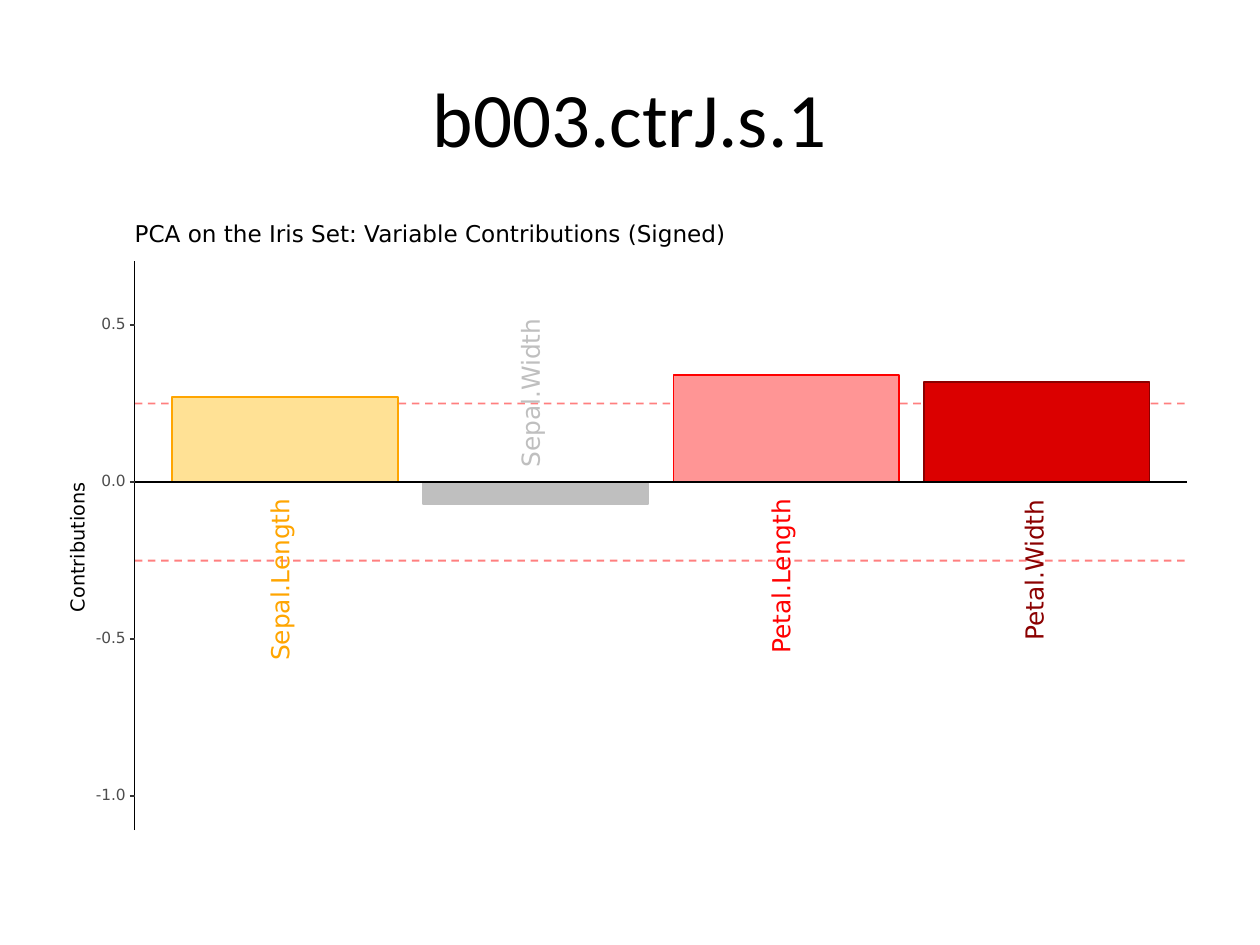
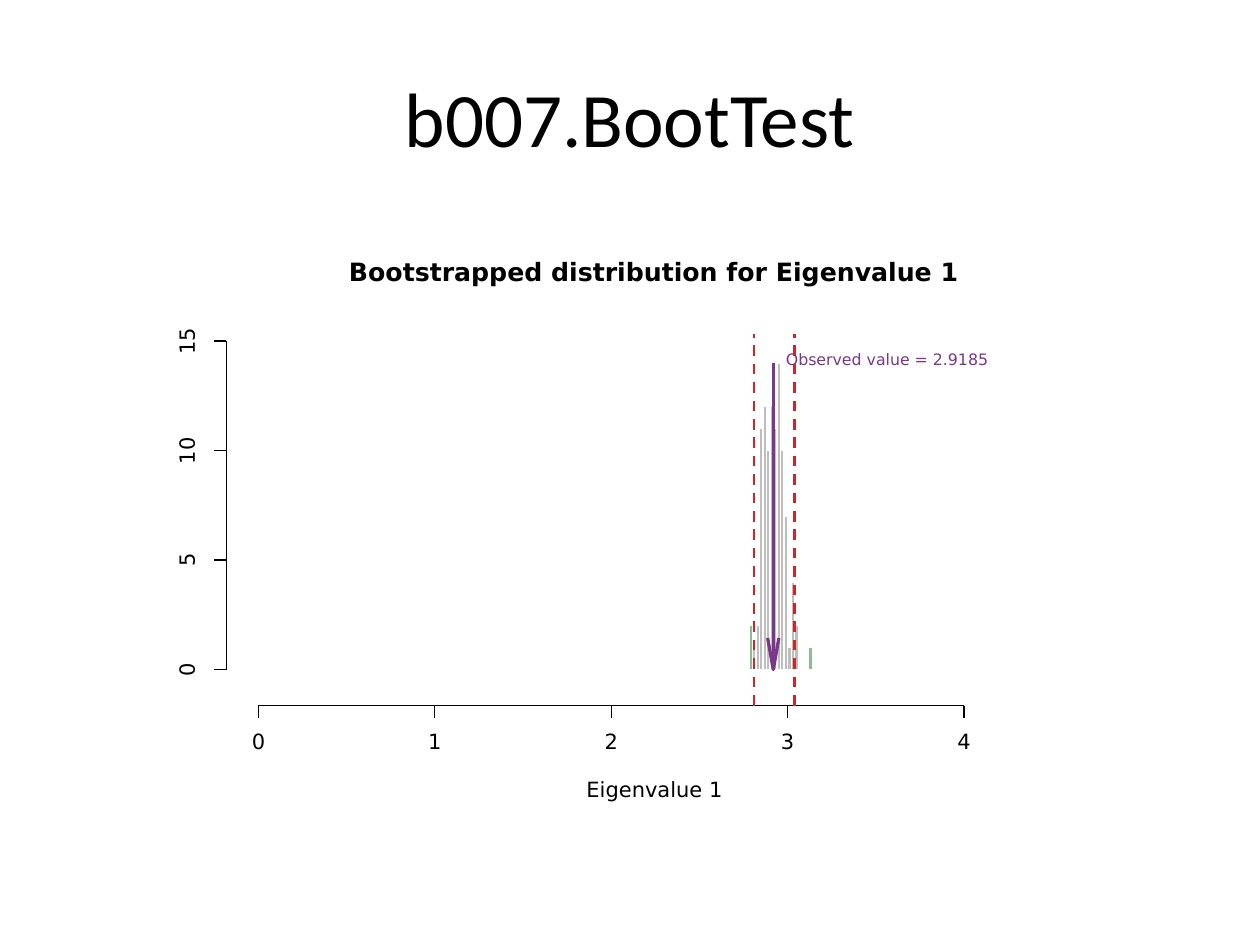
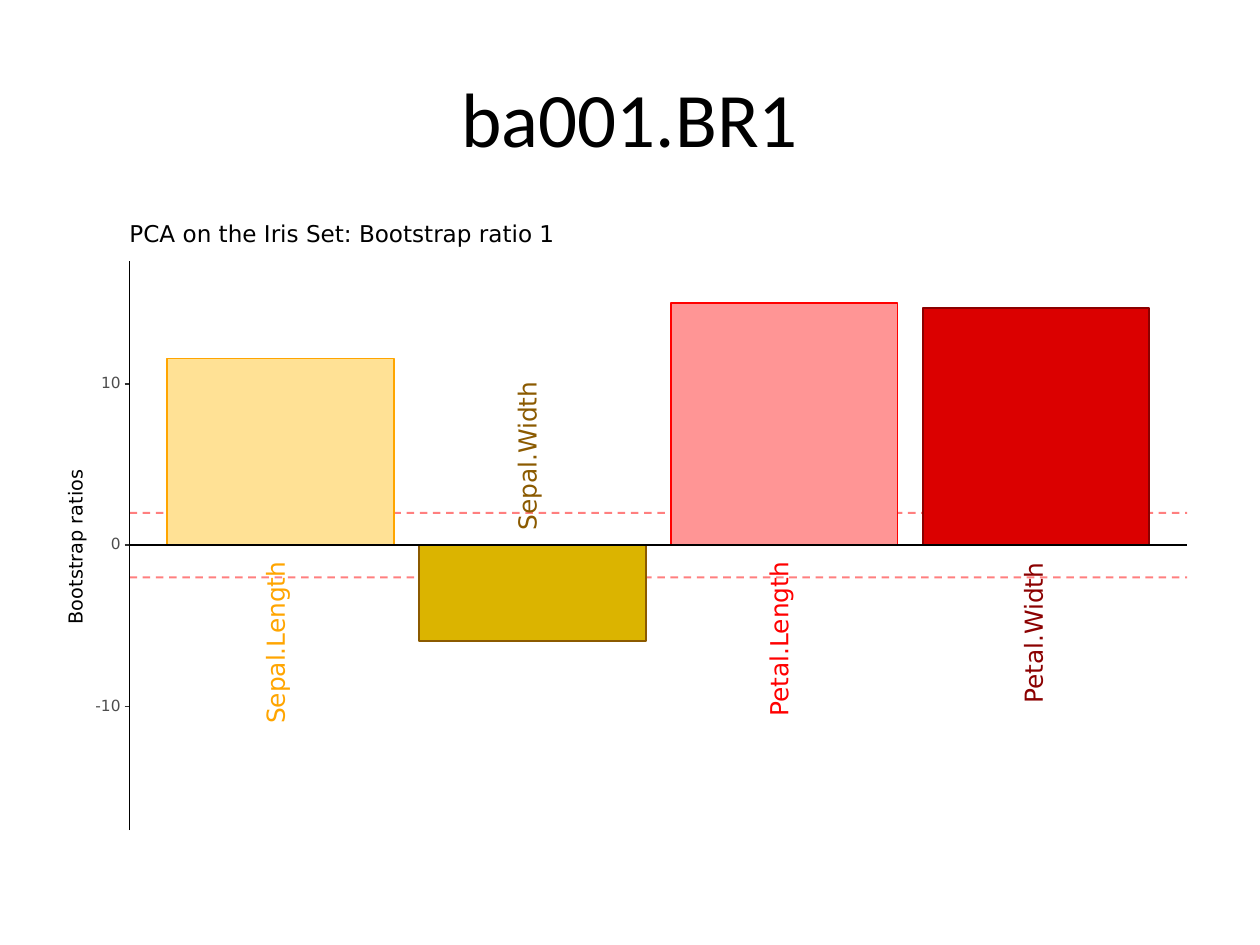
from dataclasses import dataclass

from pptx import Presentation
from pptx.dml.color import RGBColor
from pptx.enum.dml import MSO_LINE
from pptx.enum.shapes import MSO_CONNECTOR, MSO_SHAPE
from pptx.enum.text import MSO_ANCHOR, PP_ALIGN
from pptx.oxml.xmlchemy import OxmlElement
from pptx.util import Pt

DASH = MSO_LINE.DASH
STRAIGHT = MSO_CONNECTOR.STRAIGHT
RECTANGLE = MSO_SHAPE.RECTANGLE
MIDDLE = MSO_ANCHOR.MIDDLE
CENTER = PP_ALIGN.CENTER
LEFT = PP_ALIGN.LEFT


@dataclass(frozen=True)
class Theme:
    title_font: str = "Calibri"
    chart_font: str = "DejaVu Sans"
    title_size: float = 44
    bar_label_size: float = 14.2
    bar_heading_size: float = 13.2
    bar_axis_size: float = 11
    bar_tick_size: float = 8.8
    histogram_heading_size: float = 14.4
    histogram_text_size: float = 12
    note_size: float = 9
    thin: float = 0.75
    medium: float = 1.07
    bound_weight: float = 1.5
    arrow_weight: float = 1.87
    black: str = "000000"
    white: str = "FFFFFF"
    tick: str = "333333"
    tick_text: str = "4D4D4D"
    threshold: str = "FF0000"
    bound: str = "CD2626"
    observed: str = "7A378B"
    inside: str = "BEBEBE"
    outside: str = "8FBC8F"


THEME = Theme()

SEPAL_LENGTH = ("Sepal.Length", 93.6, 13.7, "FFE195", "FFA500")
SEPAL_WIDTH = ("Sepal.Width", 85.7, 13.7, "DBB400", "8B5A00")
SEPAL_WIDTH_GREY = ("Sepal.Width", 85.7, 13.7, "BFBFBF", "BFBFBF")
PETAL_LENGTH = ("Petal.Length", 89.3, 13.7, "FF9595", "FF0000")
PETAL_WIDTH = ("Petal.Width", 82.1, 10.8, "DB0000", "8B0000")

AXIS_TOP, AXIS_BOTTOM, AXIS_RIGHT = 149.2, 474.4, 678.4
GLYPH_WIDTHS = {".": 0.32, "-": 0.36}
DIGIT_WIDTH = 0.64


def number_width(text, size):
    return size * sum(GLYPH_WIDTHS.get(glyph, DIGIT_WIDTH) for glyph in text)


def format_text(frame, text, *, size, font, color, bold=False, align=LEFT, spacing=None):
    frame.vertical_anchor = MIDDLE
    paragraph = frame.paragraphs[0]
    paragraph.alignment = align
    if spacing:
        paragraph.line_spacing = Pt(spacing)
    run = paragraph.add_run()
    run.text = text
    run.font.size = Pt(size)
    run.font.name = font
    run.font.bold = bold
    run.font.color.rgb = RGBColor.from_string(color)


def add_label(shapes, text, x, y, width, height, size, color=THEME.black, bold=False, rotation=0):
    box = shapes.add_textbox(Pt(x - width / 2), Pt(y - height / 2), Pt(width), Pt(height))
    box.rotation = rotation
    frame = box.text_frame
    frame.word_wrap = False
    frame.margin_left = frame.margin_right = frame.margin_top = frame.margin_bottom = 0
    format_text(frame, text, size=size, font=THEME.chart_font, color=color, bold=bold, spacing=size)


def add_rectangle(shapes, left, top, width, height, fill, line, weight):
    shape = shapes.add_shape(RECTANGLE, Pt(left), Pt(top), Pt(width), Pt(height))
    shape.shadow.inherit = False
    shape.fill.solid()
    shape.fill.fore_color.rgb = RGBColor.from_string(fill)
    shape.line.color.rgb = RGBColor.from_string(line)
    shape.line.width = Pt(weight)


def add_line(shapes, x1, y1, x2, y2, color=THEME.black, weight=THEME.thin, dash=None, opacity=None):
    connector = shapes.add_connector(STRAIGHT, Pt(x1), Pt(y1), Pt(x2), Pt(y2))
    connector.line.color.rgb = RGBColor.from_string(color)
    connector.line.width = Pt(weight)
    if dash is not None:
        connector.line.dash_style = dash
    properties = connector._element.spPr
    if opacity is not None:
        alpha = OxmlElement("a:alpha")
        alpha.set("val", str(opacity * 1000))
        properties.xpath(".//a:srgbClr")[0].append(alpha)
    properties.append(OxmlElement("a:effectLst"))


def add_arrow_down(shapes, x, top, bottom):
    add_line(shapes, x, top, x, bottom, THEME.observed, THEME.arrow_weight)
    half_width, length = 3.2, 18
    builder = shapes.build_freeform(Pt(x - half_width), Pt(bottom - length))
    builder.add_line_segments(
        [(Pt(x), Pt(bottom)), (Pt(x + half_width), Pt(bottom - length))], close=False
    )
    head = builder.convert_to_shape()
    head.shadow.inherit = False
    head.fill.background()
    head.line.color.rgb = RGBColor.from_string(THEME.observed)
    head.line.width = Pt(THEME.arrow_weight)


def add_chart_slide(presentation, title, weight):
    slide = presentation.slides.add_slide(presentation.slide_layouts[5])
    placeholder = slide.shapes.title
    placeholder.left, placeholder.top = Pt(36), Pt(21.6)
    placeholder.width, placeholder.height = Pt(648), Pt(90)
    format_text(placeholder.text_frame, title, size=THEME.title_size,
                font=THEME.title_font, color=THEME.black, align=CENTER)
    shapes = slide.shapes.add_group_shape().shapes
    add_rectangle(shapes, 36, 126, 648, 356.4, THEME.white, THEME.white, weight)
    return shapes


def add_bar_label(shapes, variable, center, zero, value):
    name, width, height, _, color = variable
    offset = 8.5 + width / 2
    y = zero + offset if value > 0 else zero - offset
    add_label(shapes, name, center + 5 - height / 2, y, width, height,
              THEME.bar_label_size, color, rotation=270)


def add_bar_chart(shapes, *, heading, heading_width, axis_title, axis_title_size,
                  axis_left, zero, unit, threshold, ticks, bars):
    def y_of(value):
        return zero - value * unit

    for value in (threshold, -threshold):
        add_line(shapes, axis_left, y_of(value), AXIS_RIGHT, y_of(value),
                 THEME.threshold, THEME.medium, DASH, 50)

    step = (AXIS_RIGHT - axis_left) / (len(bars) + 0.2)
    bar_width = 0.9 * step
    centers = [axis_left + (0.6 + index) * step for index in range(len(bars))]
    for center, (variable, value) in zip(centers, bars):
        add_rectangle(shapes, center - bar_width / 2, min(zero, y_of(value)), bar_width,
                      abs(value) * unit, variable[3], variable[4], THEME.medium)
    for center, (variable, value) in zip(centers, bars):
        add_bar_label(shapes, variable, center, zero, value)

    add_line(shapes, axis_left, zero, AXIS_RIGHT, zero, weight=THEME.medium)
    add_line(shapes, axis_left, AXIS_BOTTOM, axis_left, AXIS_TOP)
    for text in ticks:
        y = y_of(float(text))
        width = number_width(text, THEME.bar_tick_size)
        add_label(shapes, text, axis_left - 5 - width / 2, y, width, 6.5,
                  THEME.bar_tick_size, THEME.tick_text)
        add_line(shapes, axis_left - 2.8, y, axis_left, y, THEME.tick, THEME.medium)

    width, height = axis_title_size
    add_label(shapes, axis_title, 49.3 - height / 2, (AXIS_TOP + AXIS_BOTTOM) / 2,
              width, height, THEME.bar_axis_size, rotation=270)
    add_label(shapes, heading, axis_left + heading_width / 2, 134.6, heading_width, 13,
              THEME.bar_heading_size)


def add_histogram(shapes, *, counts, first_bin, bin_width, bounds, observed):
    axis_x, axis_y, tick_length = 129.4, 403.2, 7.2
    center = 374.4

    def x_of(value):
        return 147.7 + value * 100.8

    def y_of(count):
        return 382.6 - count * 12.51

    size = THEME.histogram_text_size
    add_label(shapes, "Bootstrapped distribution for Eigenvalue 1", center, 156.6, 350, 14.4,
              THEME.histogram_heading_size, bold=True)
    add_label(shapes, "Eigenvalue 1", center, 452.2, 78.5, 11.5, size)

    add_line(shapes, x_of(0), axis_y, x_of(4), axis_y)
    for value in range(5):
        x, text = x_of(value), str(value)
        add_line(shapes, x, axis_y, x, axis_y + tick_length)
        add_label(shapes, text, x, 424.5, number_width(text, size), 9, size)

    add_line(shapes, axis_x, y_of(0), axis_x, y_of(15))
    for count in range(0, 16, 5):
        y, text = y_of(count), str(count)
        add_line(shapes, axis_x, y, axis_x - tick_length, y)
        add_label(shapes, text, 107.8, y, number_width(text, size), 9, size, rotation=270)

    lower, upper = bounds
    for index, count in enumerate(counts):
        start = round(first_bin + index * bin_width, 2)
        is_inside = start + bin_width > lower and start <= upper
        add_rectangle(shapes, x_of(start), y_of(count), x_of(bin_width) - x_of(0),
                      y_of(0) - y_of(count), THEME.inside if is_inside else THEME.outside,
                      THEME.white, THEME.thin)

    peak = y_of(max(counts))
    add_arrow_down(shapes, x_of(observed), peak, y_of(0))
    note_width = 118
    add_label(shapes, f"Observed value = {observed}", x_of(observed) + 7.2 + note_width / 2,
              peak - 1.5, note_width, 7.2, THEME.note_size, THEME.observed)
    for value in bounds:
        add_line(shapes, x_of(value), axis_y, x_of(value), 190.8,
                 THEME.bound, THEME.bound_weight, DASH)


def main():
    presentation = Presentation()
    presentation.slide_width, presentation.slide_height = Pt(720), Pt(540)

    add_bar_chart(
        add_chart_slide(presentation, "b003.ctrJ.s.1", THEME.medium),
        heading="PCA on the Iris Set: Variable Contributions (Signed)", heading_width=341,
        axis_title="Contributions", axis_title_size=(76, 8.6),
        axis_left=77, zero=275.5, unit=179.5, threshold=0.25,
        ticks=["-1.0", "-0.5", "0.0", "0.5"],
        bars=[(SEPAL_LENGTH, 0.27), (SEPAL_WIDTH_GREY, -0.07),
              (PETAL_LENGTH, 0.34), (PETAL_WIDTH, 0.32)],
    )
    add_histogram(
        add_chart_slide(presentation, "b007.BootTest", THEME.thin),
        counts=[2, 1, 2, 11, 12, 10, 12, 11, 14, 10, 7, 1, 4, 2, 0, 0, 0, 1],
        first_bin=2.78, bin_width=0.02, bounds=(2.81, 3.04), observed=2.9185,
    )
    add_bar_chart(
        add_chart_slide(presentation, "ba001.BR1", THEME.medium),
        heading="PCA on the Iris Set: Bootstrap ratio 1", heading_width=246,
        axis_title="Bootstrap ratios", axis_title_size=(90, 10.8),
        axis_left=74, zero=311.5, unit=9.22, threshold=2,
        ticks=["-10", "0", "10"],
        bars=[(SEPAL_LENGTH, 11.56), (SEPAL_WIDTH, -5.94),
              (PETAL_LENGTH, 15), (PETAL_WIDTH, 14.7)],
    )
    presentation.save("out.pptx")


main()
